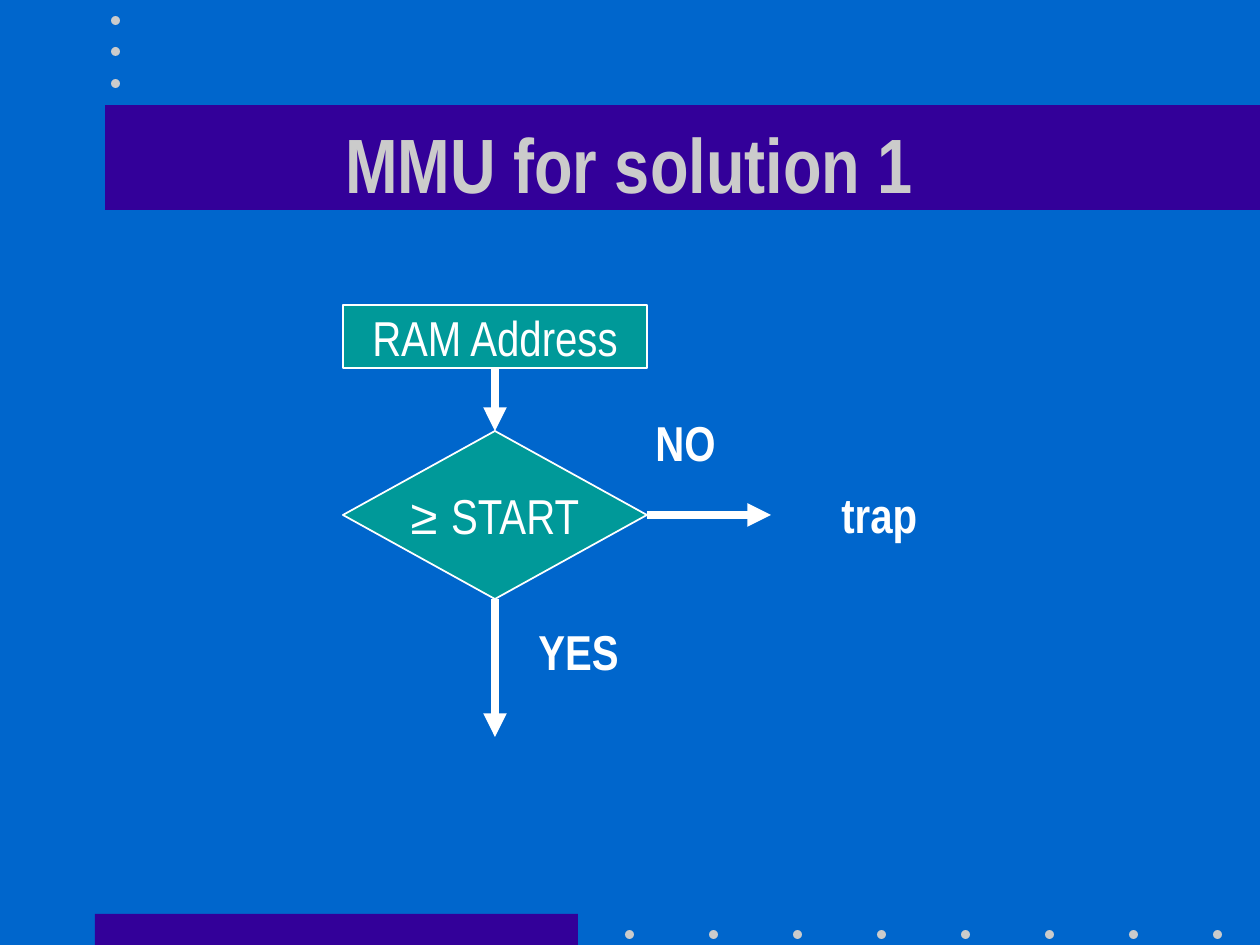
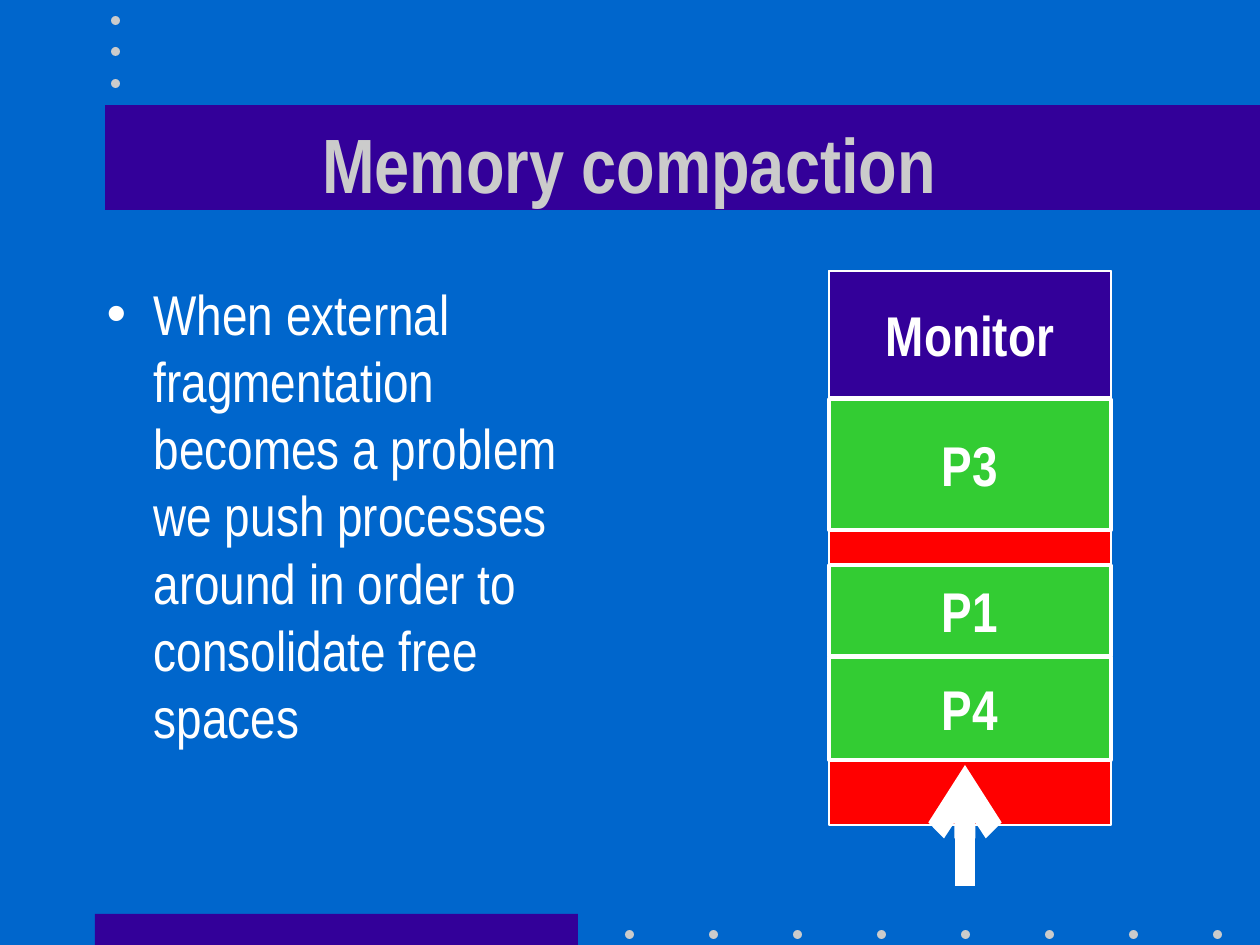
from lxml import etree
from pptx import Presentation
from pptx.dml.color import RGBColor
from pptx.enum.shapes import MSO_CONNECTOR, MSO_SHAPE
from pptx.enum.text import MSO_ANCHOR, MSO_AUTO_SIZE, PP_ALIGN
from pptx.oxml.ns import qn
from pptx.util import Emu, Pt

RECT, OVAL = MSO_SHAPE.RECTANGLE, MSO_SHAPE.OVAL
PROCESS, DECISION = MSO_SHAPE.FLOWCHART_PROCESS, MSO_SHAPE.FLOWCHART_DECISION
STRAIGHT = MSO_CONNECTOR.STRAIGHT
LEFT, CENTER = PP_ALIGN.LEFT, PP_ALIGN.CENTER
TOP, MIDDLE = MSO_ANCHOR.TOP, MSO_ANCHOR.MIDDLE
NO_FIT, GROW = MSO_AUTO_SIZE.NONE, MSO_AUTO_SIZE.SHAPE_TO_FIT_TEXT
SIDE_BOTTOM, SIDE_RIGHT = 2, 3

COLORS = {
    "back": "0066CC",
    "band": "330099",
    "grey": "CBCBCB",
    "white": "FFFFFF",
    "teal": "009999",
    "free": "FF0000",
    "process": "33CC33",
}
FONT, SYMBOL_FONT = "Arial Narrow", "Arial"


def px(length):
    """Turn px (126 to the inch) into EMU."""
    return Emu(round(length * 914400 / 126))


def rgb(name):
    return RGBColor.from_string(COLORS[name])


def place(shape, box):
    shape.left, shape.top, shape.width, shape.height = map(px, box)


def style_text(frame, size, bold=False, color="white", align=CENTER,
               anchor=MIDDLE, wrap=True, fit=NO_FIT):
    frame.word_wrap, frame.auto_size = wrap, fit
    frame.vertical_anchor = anchor
    for paragraph in frame.paragraphs:
        paragraph.alignment = align
        for run in paragraph.runs:
            run.font.name, run.font.size = FONT, Pt(size)
            run.font.bold = bold
            run.font.color.rgb = rgb(color)


def add_block(shapes, kind, box, fill, line_width=0):
    block = shapes.add_shape(kind, *map(px, box))
    block.shadow.inherit = False
    block.fill.solid()
    block.fill.fore_color.rgb = rgb(fill)
    if line_width:
        block.line.color.rgb = rgb("white")
        block.line.width = Pt(line_width)
    else:
        block.line.fill.background()
    return block


def add_arrow(slide, start, end, width, head="triangle", source=None, side=0):
    """Draw an arrow; with a source, it leaves from that side of the shape."""
    arrow = slide.shapes.add_connector(STRAIGHT, *map(px, (*start, *end)))
    if source is not None:
        arrow.begin_connect(source, side)
    arrow.line.color.rgb = rgb("white")
    arrow.line.width = Pt(width)
    line = arrow.line._get_or_add_ln()
    etree.SubElement(line, qn("a:tailEnd"), type=head)
    etree.SubElement(arrow._element.spPr, qn("a:effectLst"))


def add_label(slide, text, box, align=LEFT, wrap=False):
    label = slide.shapes.add_textbox(*map(px, box))
    label.text_frame.text = text
    style_text(label.text_frame, 28, bold=True, align=align, anchor=TOP,
               wrap=wrap, fit=GROW)


def decorate_master(deck, slide):
    """Draw the bands and dots on a slide, then move them to the master."""
    decor = slide.shapes.add_group_shape()
    add_block(decor.shapes, RECT, (95, 914, 483, 31), "band")
    add_block(decor.shapes, RECT, (105, 105, 1155, 105), "band")
    footer_dots = [(625 + 84 * i, 930) for i in range(8)]
    top_dots = [(111, 16 + 63 * i // 2) for i in range(3)]
    for x, y in footer_dots + top_dots:
        add_block(decor.shapes, OVAL, (x, y, 9, 9), "grey")
    for number, props in enumerate(decor._element.iter(qn("p:cNvPr")), 100):
        props.set("id", str(number))
    master = deck.slide_master
    master.background.fill.solid()
    master.background.fill.fore_color.rgb = rgb("back")
    master.shapes._spTree.insert(2, decor._element)


def add_titled_slide(deck, layout, title):
    slide = deck.slides.add_slide(deck.slide_layouts.get_by_name(layout))
    heading = slide.shapes.title
    place(heading, (94, 84, 1071, 158))
    heading.text_frame.text = title
    style_text(heading.text_frame, 44, bold=True, color="grey")
    return slide


def add_flowchart(slide, left, top, width):
    center = left + width // 2
    address = add_block(slide.shapes, PROCESS, (left, top, width, 63), "teal", 1)
    address.text_frame.text = "RAM Address"
    check_top, check_height = top + 126, 168
    check = add_block(slide.shapes, DECISION,
                      (left, check_top, width, check_height), "teal", 1)
    condition = check.text_frame.paragraphs[0]
    for part in ("≥ ", "START"):
        condition.add_run().text = part
    for step in (address, check):
        style_text(step.text_frame, 28, wrap=False)
    condition.runs[0].font.name = SYMBOL_FONT

    right, middle = left + width, check_top + check_height // 2
    bottom = check_top + check_height
    add_arrow(slide, (center, top + 63), (center, check_top), 4.5,
              source=address, side=SIDE_BOTTOM)
    add_arrow(slide, (center, bottom), (center, bottom + 138), 4.5,
              source=check, side=SIDE_BOTTOM)
    add_arrow(slide, (right, middle), (right + 124, middle), 4.5,
              source=check, side=SIDE_RIGHT)
    add_label(slide, "YES", (center + 19, bottom + 16, 129, 72), CENTER, True)
    add_label(slide, "NO", (right - 4, check_top - 25, 86, 72))
    add_label(slide, "trap", (right + 182, middle - 37, 101, 72))


def fill_body(slide, text, box):
    body = slide.placeholders[1]
    place(body, box)
    body.text_frame.text = text
    style_text(body.text_frame, 32, align=LEFT, anchor=TOP)
    point = body.text_frame.paragraphs[0]
    point.space_before = Pt(8)
    props = point._p.get_or_add_pPr()
    props.set("marL", str(px(47)))
    props.set("indent", str(px(-47)))
    bullet_color = etree.SubElement(props, qn("a:buClr"))
    etree.SubElement(bullet_color, qn("a:srgbClr"), val=COLORS["white"])
    etree.SubElement(props, qn("a:buChar"), char="•")


def add_memory_map(slide, left, top, width, height):
    add_block(slide.shapes, RECT, (left, top, width, height), "free", 1)
    regions = [  # name, offset, height, fill, line width
        ("Monitor", 0, 126, "band", 1),
        ("P3", 128, 131, "process", 2),
        ("P1", 294, 91, "process", 2),
        ("P4", 386, 103, "process", 2),
    ]
    for name, offset, size, fill, line_width in regions:
        region = add_block(slide.shapes, RECT, (left, top + offset, width, size),
                           fill, line_width)
        region.text_frame.text = name
        style_text(region.text_frame, 32, bold=True, wrap=False)
    push_x = left + 136
    add_arrow(slide, (push_x, top + height + 61), (push_x, top + height - 60),
              12, head="arrow")


def main():
    deck = Presentation()
    deck.slide_width, deck.slide_height = px(1260), px(945)

    mmu = add_titled_slide(deck, "Title Only", "MMU for solution 1")
    decorate_master(deck, mmu)
    add_flowchart(mmu, 343, 305, 304)

    compaction = add_titled_slide(deck, "Title and Content", "Memory compaction")
    fill_body(compaction,
              "When external fragmentation becomes a problem we push processes "
              "around in order to consolidate free spaces", (94, 273, 525, 567))
    add_memory_map(compaction, 829, 271, 282, 554)

    deck.save("out.pptx")


if __name__ == "__main__":
    main()
